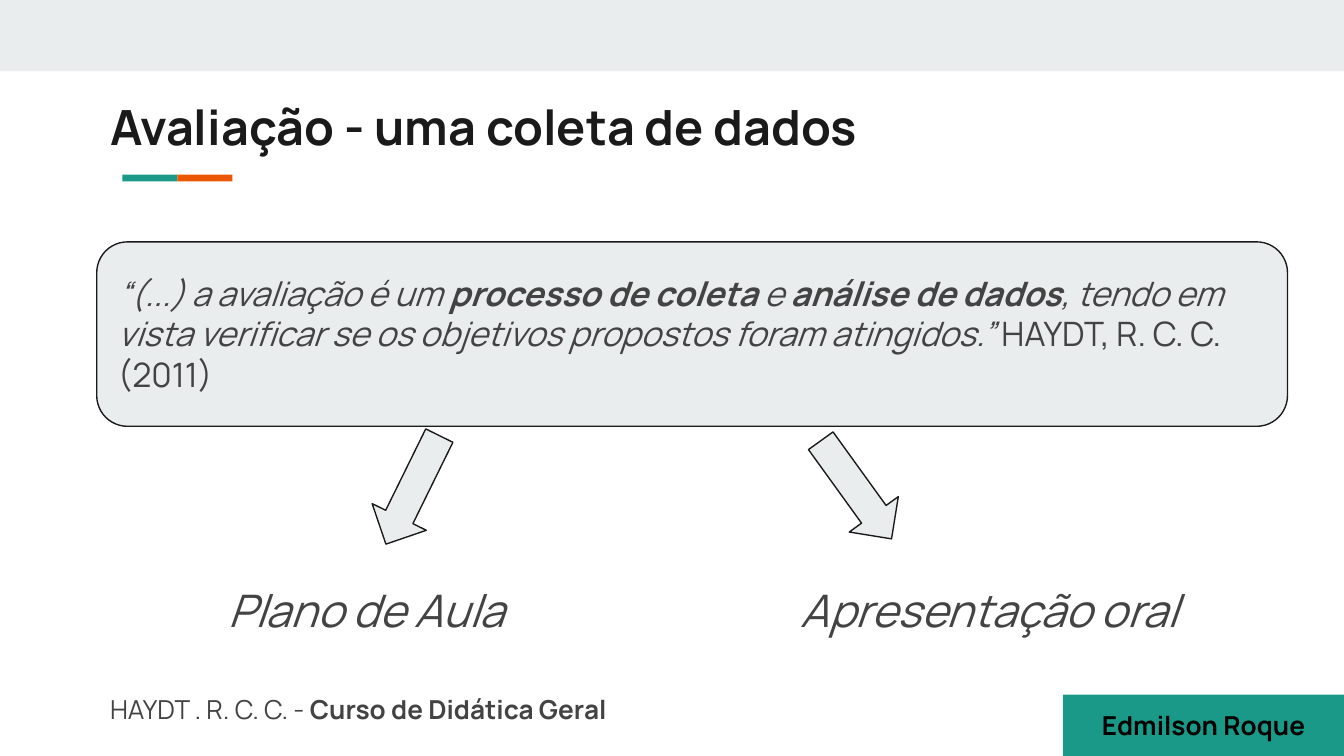
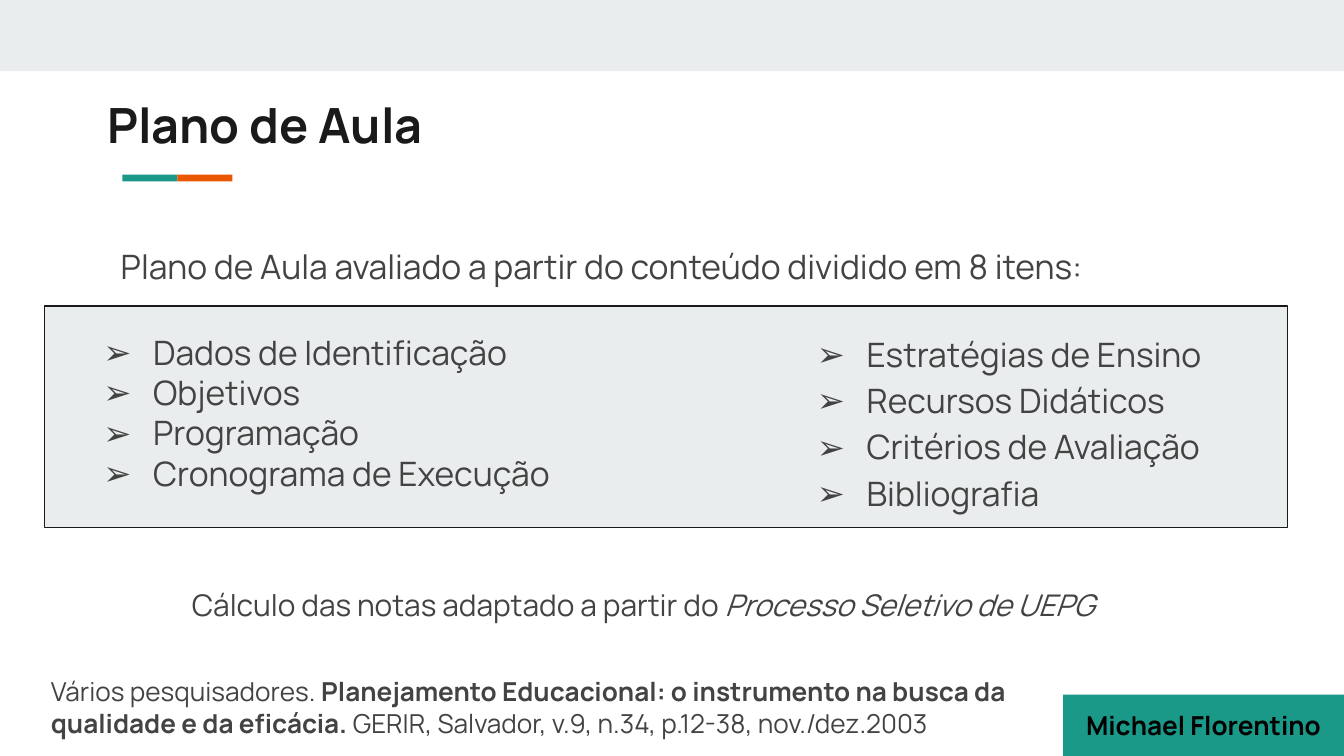
from lxml import etree
from pptx import Presentation
from pptx.dml.color import RGBColor
from pptx.enum.shapes import MSO_SHAPE
from pptx.enum.text import MSO_ANCHOR, PP_ALIGN
from pptx.oxml.ns import qn
from pptx.util import Inches, Pt

RECTANGLE = MSO_SHAPE.RECTANGLE
ROUNDED_PANEL = MSO_SHAPE.FLOWCHART_ALTERNATE_PROCESS
ARROW = MSO_SHAPE.RIGHT_ARROW
TOP, MIDDLE = MSO_ANCHOR.TOP, MSO_ANCHOR.MIDDLE
LEFT, CENTER, JUSTIFY = PP_ALIGN.LEFT, PP_ALIGN.CENTER, PP_ALIGN.JUSTIFY

FONT = "Manrope"
COLORS = {
    "band": "E9EDEE",
    "teal": "1A9988",
    "orange": "EB5600",
    "ink": "1A1A1A",
    "body": "434343",
    "black": "000000",
}
WIDTH, HEIGHT = Inches(10), Inches(5.625)
INSET = Inches(0.1)
BULLET_INDENT, BULLET_HANG = Inches(0.5), Inches(-0.37)


def color(name):
    return RGBColor.from_string(COLORS[name])


def place(area):
    """Turn left, top, width, height in percent of the slide into lengths."""
    left, top, width, height = area
    return (round(WIDTH * left / 100), round(HEIGHT * top / 100),
            round(WIDTH * width / 100), round(HEIGHT * height / 100))


def add_block(slide, area, fill, kind=RECTANGLE, outlined=False, rotation=0):
    shape = slide.shapes.add_shape(kind, *place(area))
    shape.shadow.inherit = False
    shape.fill.solid()
    shape.fill.fore_color.rgb = color(fill)
    if outlined:
        shape.line.color.rgb = color("ink")
        shape.line.width = Pt(0.75)
    else:
        shape.line.fill.background()
    shape.rotation = rotation
    return shape


def add_bullet(paragraph):
    properties = paragraph._p.get_or_add_pPr()
    properties.set("marL", str(BULLET_INDENT))
    properties.set("indent", str(BULLET_HANG))
    bullet_color = etree.SubElement(properties, qn("a:buClr"))
    etree.SubElement(bullet_color, qn("a:srgbClr"), val=COLORS["body"])
    etree.SubElement(properties, qn("a:buFont"), typeface=FONT)
    etree.SubElement(properties, qn("a:buChar"), char="➢")


def write(shape, paragraphs, size, ink="body", anchor=TOP, align=LEFT,
          spacing=None, bulleted=False):
    """Fill a shape; each paragraph lists (text, style), style using b and i."""
    frame = shape.text_frame
    frame.word_wrap = True
    frame.vertical_anchor = anchor
    frame.margin_left = frame.margin_right = INSET
    frame.margin_top = frame.margin_bottom = INSET
    for index, runs in enumerate(paragraphs):
        paragraph = frame.add_paragraph() if index else frame.paragraphs[0]
        if bulleted:
            add_bullet(paragraph)
        paragraph.alignment = align
        if spacing:
            paragraph.line_spacing = spacing
        for text, style in runs:
            run = paragraph.add_run()
            run.text = text
            run.font.name = FONT
            run.font.size = Pt(size)
            run.font.color.rgb = color(ink)
            run.font.bold = "b" in style
            run.font.italic = "i" in style


def add_text(slide, area, paragraphs, size, **options):
    write(slide.shapes.add_textbox(*place(area)), paragraphs, size, **options)


def add_list(slide, area, items, **options):
    add_text(slide, area, [[(item, "")] for item in items], 18,
             align=JUSTIFY, bulleted=True, **options)


def start_slide(presentation, title, title_corner, speaker):
    """Add a slide with the band, title, two-colour rule and speaker tag."""
    slide = presentation.slides.add_slide(presentation.slide_layouts[6])
    add_block(slide, (0, 0, 100, 9.42), "band")
    for column, fill in enumerate(("teal", "orange")):
        add_block(slide, (9.1 + 4.1 * column, 23.1, 4.1, 0.9), fill)
    add_text(slide, (*title_corner, 84.1, 10.5), [[(title, "b")]], 26, ink="ink")
    tag = add_block(slide, (79.1, 91.9, 20.9, 8.1), "teal")
    write(tag, [[(speaker, "b")]], 14, ink="black", anchor=MIDDLE, align=CENTER)
    return slide


def build_assessment(presentation):
    slide = start_slide(presentation, "Avaliação - uma coleta de dados",
                        (7.2, 11), "Edmilson Roque")
    add_block(slide, (7.2, 32, 88.6, 24.4), "band", ROUNDED_PANEL, outlined=True)
    quote = [
        ("“(...) a avaliação é um ", "i"),
        ("processo de coleta", "bi"),
        (" e ", "i"),
        ("análise de dados", "bi"),
        (", tendo em vista verificar se os objetivos propostos foram atingidos.”", "i"),
        (" HAYDT, R. C. C. (2011)", ""),
    ]
    add_text(slide, (7.8, 30.6, 88.6, 27), [quote], 18, anchor=MIDDLE)
    branches = [
        ("Plano de Aula", 16, 23.3, 26.2, 116.2),
        ("Apresentação oral", 58.6, 31.8, 59.2, 54.2),
    ]
    for label, left, width, arrow_left, angle in branches:
        add_block(slide, (arrow_left, 60.8, 9, 8), "band", ARROW,
                  outlined=True, rotation=angle)
        add_text(slide, (left, 73.8, width, 13.7), [[(label, "i")]], 24,
                 anchor=MIDDLE)
    source = [("HAYDT . R. C. C. - ", ""), ("Curso de Didática Geral", "b")]
    add_text(slide, (7.2, 90, 50.1, 10), [source], 14, align=JUSTIFY)


def build_lesson_plan(presentation):
    slide = start_slide(presentation, "Plano de Aula", (7, 10.8),
                        "Michael Florentino")
    add_block(slide, (3.3, 40.5, 92.5, 29.3), "band", outlined=True)
    intro = "Plano de Aula avaliado a partir do conteúdo dividido em 8 itens:"
    add_text(slide, (8, 30.8, 84.1, 15.8), [[(intro, "")]], 18, align=JUSTIFY)
    add_list(slide, (5.4, 42.1, 38.8, 29.3),
             ["Dados de Identificação", "Objetivos", "Programação",
              "Cronograma de Execução"])
    add_list(slide, (58.5, 32.5, 37.3, 46.2),
             ["Estratégias de Ensino", "Recursos Didáticos",
              "Critérios de Avaliação", "Bibliografia"],
             anchor=MIDDLE, spacing=1.15)
    grading = [("Cálculo das notas adaptado a partir do ", ""),
               ("Processo Seletivo de UEPG", "i")]
    add_text(slide, (13.3, 72, 74.5, 15.3), [grading], 16, anchor=MIDDLE,
             align=JUSTIFY, spacing=1.15)
    reference = [
        ("Vários pesquisadores. ", ""),
        ("Planejamento Educacional: o instrumento na busca da qualidade e da eficácia. ", "b"),
        ("GERIR, Salvador, v.9, n.34, p.12-38, nov./dez.2003", ""),
    ]
    add_text(slide, (2.8, 87.6, 77.4, 11.9), [reference], 14, anchor=MIDDLE)


def main():
    presentation = Presentation()
    presentation.slide_width, presentation.slide_height = WIDTH, HEIGHT
    build_assessment(presentation)
    build_lesson_plan(presentation)
    presentation.save("out.pptx")


if __name__ == "__main__":
    main()
